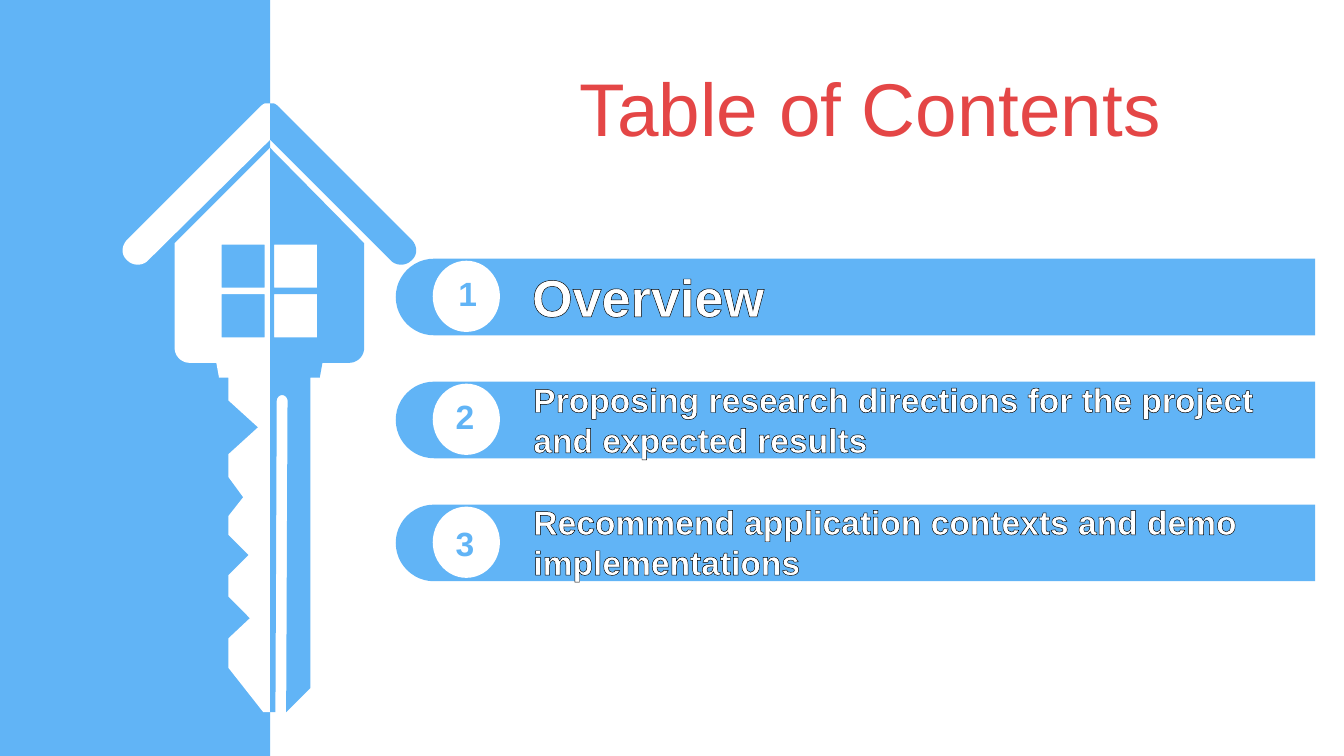
from dataclasses import dataclass

from lxml.etree import SubElement
from pptx import Presentation
from pptx.dml.color import RGBColor
from pptx.enum.shapes import MSO_SHAPE
from pptx.enum.text import MSO_ANCHOR, MSO_AUTO_SIZE, PP_ALIGN
from pptx.oxml.ns import qn
from pptx.shapes.autoshape import Shape
from pptx.slide import Slide
from pptx.util import Inches, Pt

BLUE = RGBColor(0x61, 0xB4, 0xF6)
WHITE = RGBColor(0xFF, 0xFF, 0xFF)
RED = RGBColor(0xE4, 0x46, 0x46)
BLACK = RGBColor(0x00, 0x00, 0x00)
DARK_BROWN = RGBColor(0x1E, 0x1C, 0x11)

SLIDE_WIDTH = 10
SLIDE_HEIGHT = SLIDE_WIDTH * 9 / 16
SEAM = 2.01
MIRROR_SUM = 4.01
CURVE_STEPS = 12
ROW_PITCH = 1.83 / 2

# A pair is a corner; six numbers are a Bezier curve from the previous point.
Contour = list[tuple[float, ...]]


@dataclass(frozen=True)
class Box:
    left: float
    top: float
    width: float
    height: float

    def emu(self) -> tuple[int, ...]:
        return tuple(Inches(v) for v in (self.left, self.top, self.width, self.height))


@dataclass(frozen=True)
class TextStyle:
    size: int
    color: RGBColor
    bold: bool = True
    outline: RGBColor | None = None
    align: PP_ALIGN | None = None


@dataclass(frozen=True)
class Entry:
    number: str
    number_box: Box
    title: str
    title_box: Box
    size: int


ENTRIES = [
    Entry("1", Box(3.24, 1.98, 0.48, 0.4), "Overview", Box(3.86, 1.92, 5.48, 0.57), 28),
    Entry("2", Box(3.22, 2.9, 0.48, 0.4),
          "Proposing research directions for the project and expected results",
          Box(3.87, 2.77, 5.56, 0.71), 18),
    Entry("3", Box(3.22, 3.84, 0.48, 0.4),
          "Recommend application contexts and demo implementations",
          Box(3.87, 3.68, 6.19, 0.71), 18),
]

ROOF: Contour = [
    (SEAM, 0.77), (2.04, 0.77), (2.06, 0.78, 2.07, 0.79, 2.08, 0.8), (3.06, 1.78),
    (3.11, 1.83, 3.11, 1.9, 3.06, 1.94), (3.02, 1.98, 2.95, 1.98, 2.91, 1.94),
    (SEAM, 1.04),
]
WALL: Contour = [
    (SEAM, 1.1), (2.71, 1.81), (2.71, 2.59), (2.71, 2.65, 2.66, 2.7, 2.6, 2.7),
    (2.4, 2.7), (2.38, 2.81), (SEAM, 2.81),
]
WINDOWS: list[Contour] = [
    [(2.04, top), (2.04, top + 0.32), (2.36, top + 0.32), (2.36, top)]
    for top in (1.82, 2.19)
]
HOUSE_HALF = [ROOF, WALL, *WINDOWS]
TOOTHED_BLADE: Contour = [
    (1.7, 2.81), (SEAM, 2.81), (SEAM, 5.3), (1.96, 5.3), (1.7, 4.97), (1.7, 4.75),
    (1.86, 4.6), (1.7, 4.44), (1.7, 4.28), (1.85, 4.13), (1.7, 3.98), (1.7, 3.84),
    (1.81, 3.7), (1.7, 3.55), (1.7, 3.38), (1.92, 3.18), (1.7, 2.98),
]
GROOVED_BLADE: Contour = [
    (SEAM, 2.81), (2.31, 2.81), (2.31, 5.12), (2.13, 5.3), (2.14, 2.98),
    (2.14, 2.96, 2.12, 2.94, 2.1, 2.94), (2.08, 2.94, 2.06, 2.96, 2.06, 2.98),
    (2.05, 5.3), (SEAM, 5.3),
]


def mirrored(contour: Contour) -> Contour:
    """Reflect a contour to the left half, keeping its points on the seam."""
    return [
        tuple(v if i % 2 or v == SEAM else MIRROR_SUM - v for i, v in enumerate(node))
        for node in contour
    ]


def flattened(contour: Contour) -> list[tuple[int, int]]:
    """Turn corners and curves into a list of EMU points."""
    points: list[tuple[float, float]] = []
    for node in contour:
        if len(node) == 2:
            points.append(node)
            continue
        controls = [points[-1], node[:2], node[2:4], node[4:]]
        for step in range(1, CURVE_STEPS + 1):
            t = step / CURVE_STEPS
            weights = ((1 - t) ** 3, 3 * t * (1 - t) ** 2, 3 * t * t * (1 - t), t ** 3)
            points.append(tuple(
                sum(w * c[axis] for w, c in zip(weights, controls)) for axis in (0, 1)
            ))
    return [(Inches(x), Inches(y)) for x, y in points]


def paint(shape: Shape, color: RGBColor) -> None:
    shape.shadow.inherit = False
    shape.fill.solid()
    shape.fill.fore_color.rgb = color
    shape.line.fill.background()


def add_filled(slide: Slide, kind: MSO_SHAPE, box: Box, color: RGBColor) -> Shape:
    shape = slide.shapes.add_shape(kind, *box.emu())
    paint(shape, color)
    return shape


def add_key_half(slide: Slide, contours: list[Contour], color: RGBColor) -> None:
    first, *others = [flattened(contour) for contour in contours]
    builder = slide.shapes.build_freeform(*first[0])
    builder.add_line_segments(first[1:])
    for points in others:
        builder.move_to(*points[0])
        builder.add_line_segments(points[1:])
    paint(builder.convert_to_shape(), color)


def add_text(slide: Slide, text: str, box: Box, style: TextStyle) -> Shape:
    label = slide.shapes.add_textbox(*box.emu())
    frame = label.text_frame
    frame.word_wrap = True
    frame.auto_size = MSO_AUTO_SIZE.SHAPE_TO_FIT_TEXT
    frame.text = text
    paragraph = frame.paragraphs[0]
    paragraph.alignment = style.align
    run = paragraph.runs[0]
    run.font.name = "Arial"
    run.font.size = Pt(style.size)
    run.font.bold = style.bold
    run.font.color.rgb = style.color
    if style.outline is not None:
        properties = run.font._element
        line = SubElement(properties, qn("a:ln"), w=str(Pt(0.75)))
        fill = SubElement(line, qn("a:solidFill"))
        SubElement(fill, qn("a:srgbClr"), val=str(style.outline))
        properties.insert(0, line)
    return label


def add_entry(slide: Slide, entry: Entry, offset: float) -> None:
    band = add_filled(slide, MSO_SHAPE.ROUND_2_SAME_RECTANGLE,
                      Box(6.08, -1.21 + offset, 0.57, 6.84), BLUE)
    band.rotation = 270
    band.adjustments[0] = 0.5
    band.adjustments[1] = 0
    add_filled(slide, MSO_SHAPE.OVAL, Box(3.22, 1.94 + offset, 0.5, 0.53), WHITE)
    add_text(slide, entry.number, entry.number_box,
             TextStyle(18, BLUE, align=PP_ALIGN.CENTER))
    add_text(slide, entry.title, entry.title_box,
             TextStyle(entry.size, WHITE, outline=BLACK))


def main() -> None:
    presentation = Presentation()
    presentation.slide_width = Inches(SLIDE_WIDTH)
    presentation.slide_height = Inches(SLIDE_HEIGHT)
    slide = presentation.slides.add_slide(presentation.slide_layouts[6])

    add_filled(slide, MSO_SHAPE.RECTANGLE, Box(-0.01, 0, 2.02, SLIDE_HEIGHT), BLUE)
    add_key_half(slide, [TOOTHED_BLADE, *map(mirrored, HOUSE_HALF)], WHITE)
    add_key_half(slide, [GROOVED_BLADE, *HOUSE_HALF], BLUE)

    heading = add_text(slide, "Table of Contents", Box(3.03, 0.48, 6.89, 0.63),
                       TextStyle(40, RED, False, DARK_BROWN, PP_ALIGN.CENTER))
    heading.text_frame.auto_size = MSO_AUTO_SIZE.NONE
    heading.text_frame.vertical_anchor = MSO_ANCHOR.MIDDLE

    for row, entry in enumerate(ENTRIES):
        add_entry(slide, entry, row * ROW_PITCH)

    presentation.save("out.pptx")


if __name__ == "__main__":
    main()
